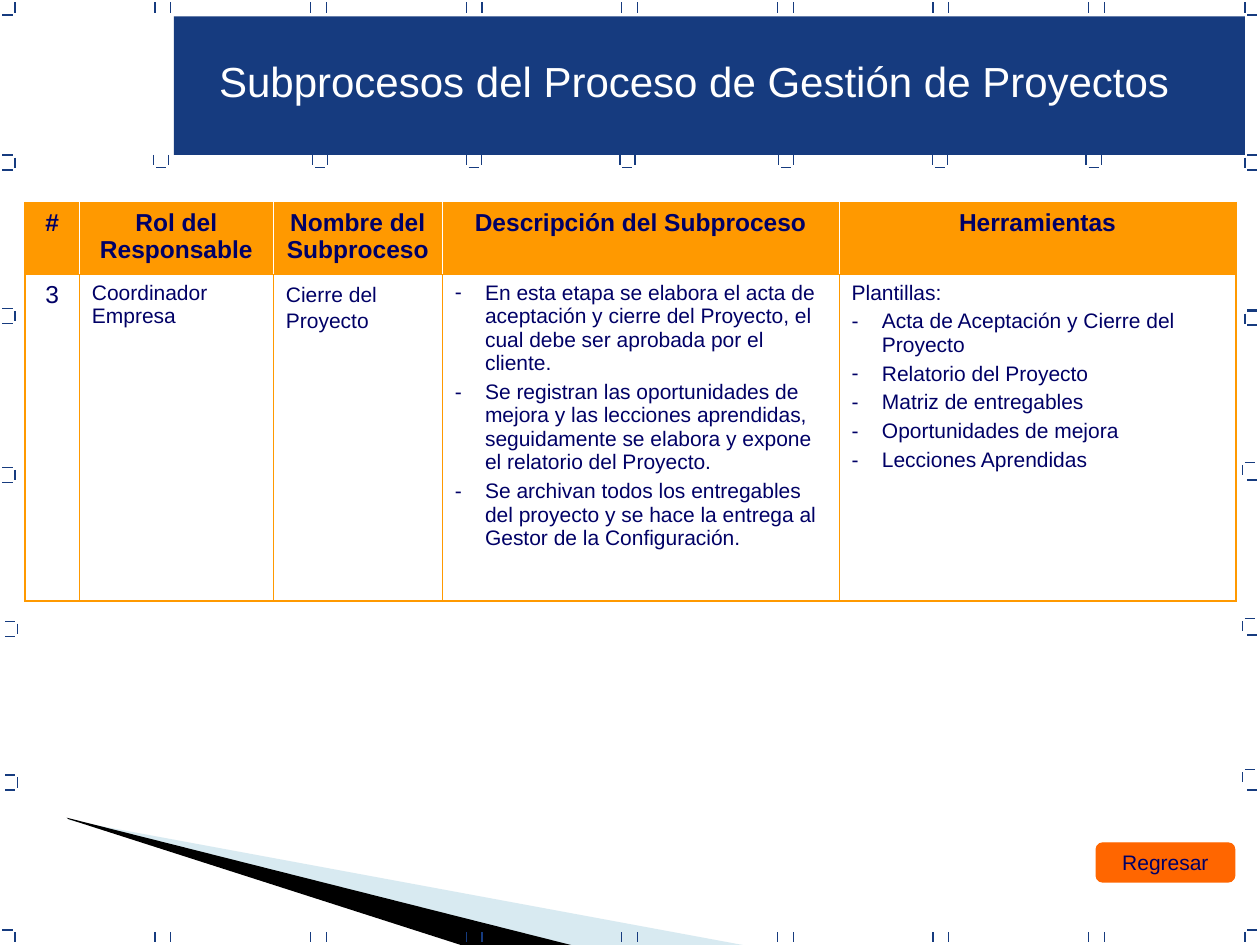
from dataclasses import dataclass

from lxml import etree
from pptx import Presentation
from pptx.dml.color import RGBColor
from pptx.enum.shapes import MSO_CONNECTOR, MSO_SHAPE
from pptx.enum.text import MSO_ANCHOR, MSO_AUTO_SIZE, PP_ALIGN
from pptx.oxml.ns import qn
from pptx.util import Inches, Pt

STRAIGHT = MSO_CONNECTOR.STRAIGHT
RECTANGLE = MSO_SHAPE.RECTANGLE
BUTTON = MSO_SHAPE.FLOWCHART_ALTERNATE_PROCESS
LEFT, CENTER = PP_ALIGN.LEFT, PP_ALIGN.CENTER
MIDDLE = MSO_ANCHOR.MIDDLE
FIT_SHAPE = MSO_AUTO_SIZE.SHAPE_TO_FIT_TEXT

COLORS = {
    "navy": "163B7F",
    "text": "000066",
    "amber": "FF9900",
    "orange": "FF6600",
    "pale blue": "9FCBDC",
    "black": "000000",
    "white": "FFFFFF",
}
TICK = 0.08  # length of every edge mark
GAP = 0.02  # distance from a mark to its corner
THIN, HAIR, THICK = 0.75, 0.45, 1.08


@dataclass
class Line:
    """One paragraph of text."""
    text: str
    size: float = 12
    color: str = "text"
    bold: bool = False
    align: int = LEFT
    before: float = 3
    spacing: float = 1.0
    dash: bool = False


def rgb(name: str) -> RGBColor:
    return RGBColor.from_string(COLORS[name])


def write(frame, lines: list[Line]) -> None:
    for index, line in enumerate(lines):
        para = frame.add_paragraph() if index else frame.paragraphs[0]
        para.text = line.text
        para.alignment = line.align
        para.space_before = Pt(line.before)
        para.line_spacing = line.spacing
        if line.dash:
            props = para._p.get_or_add_pPr()
            props.set("marL", str(Inches(0.24)))
            props.set("indent", str(-Inches(0.24)))
            etree.SubElement(props, qn("a:buFont"), typeface="Arial")
            etree.SubElement(props, qn("a:buChar"), char="-")
        para.font.name = "Arial"
        para.font.size = Pt(line.size)
        para.font.bold = line.bold
        para.font.color.rgb = rgb(line.color)


def paint(shape, color: str) -> None:
    shape.shadow.inherit = False
    shape.fill.solid()
    shape.fill.fore_color.rgb = rgb(color)
    shape.line.fill.background()


def add_wedge(page, points: list[tuple[float, float]], color: str, alpha: int = 100) -> None:
    corners = [(Inches(x), Inches(y)) for x, y in points]
    builder = page.shapes.build_freeform(*corners[0])
    builder.add_line_segments(corners[1:], close=True)
    wedge = builder.convert_to_shape()
    paint(wedge, color)
    if alpha < 100:
        fill_color = wedge._element.spPr.find(".//" + qn("a:srgbClr"))
        etree.SubElement(fill_color, qn("a:alpha"), val=str(alpha * 1000))


def add_tick(page, x: float, y: float, upright: bool) -> None:
    end_x, end_y = (x, y + TICK) if upright else (x + TICK, y)
    tick = page.shapes.add_connector(
        STRAIGHT, Inches(x), Inches(y), Inches(end_x), Inches(end_y))
    tick.line.color.rgb = rgb("navy")
    tick.line.width = Pt(THIN)
    etree.SubElement(tick._element.spPr, qn("a:effectLst"))


def add_edge_marks(page) -> None:
    upright, flat = [], []
    # Pairs along the top and bottom edges
    for top in (0.02, 7.4):
        for index in range(7):
            x = 1.23 + 1.235 * index
            upright += [(x, top), (x + 0.125, top)]
    # Page corners
    for x, side in ((0.12, 0.02), (9.88, 9.9)):
        upright += [(x, 0.02), (x, 7.4)]
        flat += [(side, 0.12), (side, 7.38)]
    # Brackets on the left edge
    for x, top in ((0.12, 1.25), (0.12, 2.47), (0.12, 3.73), (0.14, 4.95), (0.14, 6.17)):
        upright.append((x, top))
        flat += [(x - TICK - GAP, top - GAP), (x - TICK - GAP, top + TICK + GAP)]
    # Brackets on the right edge, with evenly spaced lower marks
    for x, top in ((9.88, 1.25), (9.88, 2.49), (9.86, 3.69), (9.86, 4.93), (9.86, 6.13)):
        upright.append((x, top))
        flat.append((x + GAP, top - GAP))
    flat += [(9.9, 1.35 + 1.23 * index) for index in range(5)]
    flat.append((9.9, 2.46))
    # Cups below the banner
    for x in (1.22, 2.48, 3.7, 4.92, 6.18, 7.4, 8.62):
        upright += [(x, 1.23), (x + 0.12, 1.23)]
        flat.append((x + GAP, 1.33))
    for x, y in upright:
        add_tick(page, x, y, True)
    for x, y in flat:
        add_tick(page, x, y, False)


def set_borders(cell, borders: dict[str, tuple[str, float]]) -> None:
    props = cell._tc.get_or_add_tcPr()
    for index, (side, (color, width)) in enumerate(borders.items()):
        border = etree.Element(qn("a:ln" + side), w=str(Pt(width)))
        fill = etree.SubElement(border, qn("a:solidFill"))
        etree.SubElement(fill, qn("a:srgbClr"), val=COLORS[color])
        props.insert(index, border)


def add_process_table(page, rows: list[list[list[Line]]]) -> None:
    widths, heights = (0.43, 1.54, 1.34, 3.15, 3.15), (0.57, 2.59)
    table = page.shapes.add_table(
        len(heights), len(widths), Inches(0.2), Inches(1.61),
        Inches(sum(widths)), Inches(sum(heights))).table
    table.first_row = table.horz_banding = False
    for column, width in zip(table.columns, widths):
        column.width = Inches(width)
    last = len(widths) - 1
    for r, height in enumerate(heights):
        table.rows[r].height = Inches(height)
        inner = ("amber", THIN) if r else ("white", HAIR)
        outer, divider = ("amber", THICK), ("amber", THIN)
        for c, lines in enumerate(rows[r]):
            cell = table.cell(r, c)
            write(cell.text_frame, lines)
            if r:
                cell.fill.background()
            else:
                cell.fill.solid()
                cell.fill.fore_color.rgb = rgb("amber")
            set_borders(cell, {
                "L": outer if c == 0 else inner,
                "R": outer if c == last else inner,
                "T": divider if r else outer,
                "B": outer if r else divider,
            })


def main() -> None:
    deck = Presentation()
    deck.slide_width, deck.slide_height = Inches(10), Inches(7.5)
    page = deck.slides.add_slide(deck.slide_layouts[6])

    # Background decoration
    add_wedge(page, [(0.55, 6.51), (5.95, 7.51), (4.56, 7.51), (0.55, 6.5)], "pale blue", 40)
    add_wedge(page, [(0.53, 6.49), (4.57, 7.51), (3.72, 7.52), (0.54, 6.5)], "black")
    add_edge_marks(page)
    banner = page.shapes.add_shape(
        RECTANGLE, Inches(1.38), Inches(0.13), Inches(8.5), Inches(1.1))
    paint(banner, "navy")

    # Table of subprocesses
    titles = ("#", "Rol del Responsable", "Nombre del Subproceso",
              "Descripción del Subproceso", "Herramientas")
    stages = (
        "En esta etapa se elabora el acta de aceptación y cierre del Proyecto, "
        "el cual debe ser aprobada por el cliente.",
        "Se registran las oportunidades de mejora y las lecciones aprendidas, "
        "seguidamente se elabora y expone el relatorio del Proyecto.",
        "Se archivan todos los entregables del proyecto y se hace la entrega al "
        "Gestor de la Configuración.",
    )
    templates = ("Acta de Aceptación y Cierre del Proyecto", "Relatorio del Proyecto",
                 "Matriz de entregables", "Oportunidades de mejora", "Lecciones Aprendidas")
    add_process_table(page, [
        [[Line(title, 14, bold=True, align=CENTER, before=3.5)] for title in titles],
        [[Line("3", 14, align=CENTER, before=3.5)],
         [Line("Coordinador Empresa")],
         [Line("Cierre del Proyecto", before=0, spacing=1.1)],
         [Line(stage, dash=True) for stage in stages],
         [Line("Plantillas:")] + [Line(name, dash=True) for name in templates]],
    ])

    # Return button
    button = page.shapes.add_shape(
        BUTTON, Inches(8.7), Inches(6.69), Inches(1.1), Inches(0.31))
    paint(button, "orange")
    button.line.color.rgb = rgb("orange")
    button.line.width = Pt(THIN)
    button.text_frame.word_wrap = False
    button.text_frame.vertical_anchor = MIDDLE
    write(button.text_frame, [Line("Regresar", align=CENTER, before=0)])

    # Title
    title_box = page.shapes.add_textbox(Inches(1.64), Inches(0.39), Inches(8.32), Inches(0.5))
    title_box.text_frame.word_wrap = True
    title_box.text_frame.auto_size = FIT_SHAPE
    write(title_box.text_frame, [
        Line("Subprocesos del Proceso de Gestión de Proyectos", 24, "white", before=0)])

    deck.save("out.pptx")


if __name__ == "__main__":
    main()
